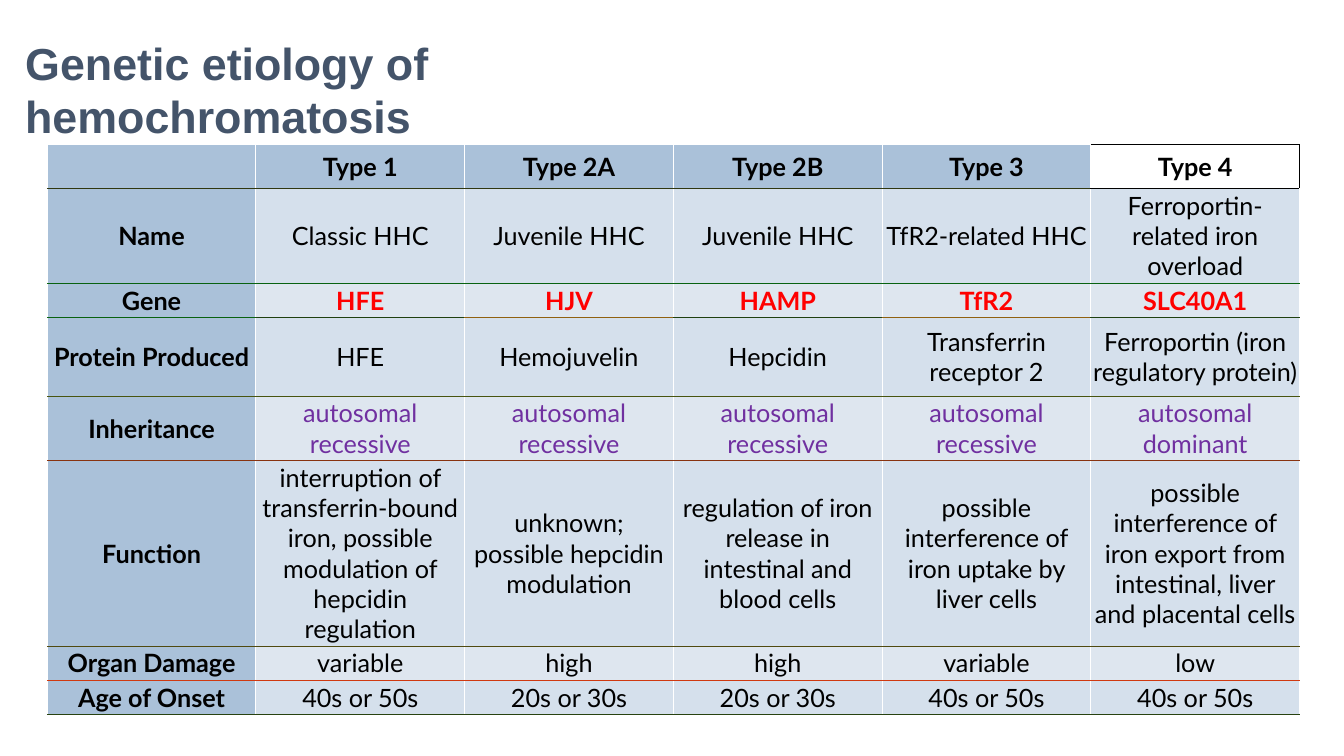
from lxml.etree import SubElement
from pptx import Presentation
from pptx.dml.color import RGBColor
from pptx.enum.text import MSO_ANCHOR as Anchor, MSO_AUTO_SIZE as AutoSize, PP_ALIGN as Align
from pptx.oxml.ns import qn
from pptx.util import Cm, Pt

LABEL_FILL = "AAC1D9"
BAND_FILLS = ["DEE6EF", "D5E0EC"]
BLACK, WHITE, RED, PURPLE = "000000", "FFFFFF", "FF0000", "7030A0"
COLUMN_WIDTH = 5.26
ROW_HEIGHTS = [1.1, 2.36, 0.84, 1.98, 1.6, 4.65, 0.85, 0.85]
ROW_LINES = ["303710", "086210", "204110", "485510", "883310", "504A10", "D03910", "284210"]
GENE_ROW, INHERITANCE_ROW = 2, 4
GENE_LINES = ["086210", "204110", "906110", "204110", "906110", "204110"]
ROWS = [
    ["", "Type 1", "Type 2A", "Type 2B", "Type 3", "Type 4"],
    ["Name", "Classic HHC", "Juvenile HHC", "Juvenile HHC", "TfR2-related HHC",
     "Ferroportin-related iron overload"],
    ["Gene", "HFE", "HJV", "HAMP", "TfR2", "SLC40A1"],
    ["Protein Produced", "HFE", "Hemojuvelin", "Hepcidin", "Transferrin receptor 2",
     "Ferroportin (iron regulatory protein)"],
    ["Inheritance"] + ["autosomal recessive"] * 4 + ["autosomal dominant"],
    ["Function",
     "interruption of transferrin-bound iron, possible modulation of hepcidin regulation",
     "unknown; possible hepcidin modulation",
     "regulation of iron release in intestinal and blood cells",
     "possible interference of iron uptake by liver cells",
     "possible interference of iron export from intestinal, liver and placental cells"],
    ["Organ Damage", "variable", "high", "high", "variable", "low"],
    ["Age of Onset", "40s or 50s", "20s or 30s", "20s or 30s", "40s or 50s", "40s or 50s"],
]
LAST_COLUMN = len(ROWS[0]) - 1


def color(hex_value):
    """Turn a hex string into a colour."""
    return RGBColor.from_string(hex_value)


def format_paragraph(paragraph, font_name, size, hex_value, bold, alignment):
    """Format the runs and the alignment of a paragraph."""
    paragraph.alignment = alignment
    for run in paragraph.runs:
        run.font.name = font_name
        run.font.size = Pt(size)
        run.font.bold = bold
        run.font.color.rgb = color(hex_value)


def add_title(slide, text):
    """Place the slide heading in the title placeholder."""
    title = slide.shapes.title
    title.left, title.top, title.width, title.height = Cm(0.38), Cm(0.76), Cm(20.68), Cm(1.63)
    frame = title.text_frame
    frame.text = text
    frame.word_wrap = True
    frame.auto_size = AutoSize.NONE
    frame.vertical_anchor = Anchor.TOP
    frame.margin_right = Cm(1)
    format_paragraph(frame.paragraphs[0], "Arial", 32, "44546A", True, Align.LEFT)


def add_border(cell, side, hex_value):
    """Draw one edge of a cell."""
    line = SubElement(cell._tc.get_or_add_tcPr(), qn(f"a:ln{side}"), w=str(Pt(0.75)))
    fill = SubElement(line, qn("a:solidFill"))
    SubElement(fill, qn("a:srgbClr"), val=hex_value)


def line_below(row, column):
    """Give the colour of the rule under a cell."""
    if row < 0:
        return BLACK if column == LAST_COLUMN else WHITE
    if row == 0 and column == LAST_COLUMN:
        return BLACK
    return GENE_LINES[column] if row == GENE_ROW else ROW_LINES[row]


def fill_cell(cell, row, column):
    """Colour a cell by its place in the table."""
    if row == 0 and column == LAST_COLUMN:
        cell.fill.background()
        return
    cell.fill.solid()
    is_label = row == 0 or column == 0
    cell.fill.fore_color.rgb = color(LABEL_FILL if is_label else BAND_FILLS[row % 2])


def format_cell(cell, row, column):
    """Write a cell and set its borders, fill and text format."""
    cell.text_frame.text = ROWS[row][column]
    cell.vertical_anchor = Anchor.MIDDLE
    cell.margin_left = cell.margin_right = cell.margin_top = cell.margin_bottom = Cm(0.05)
    is_type_4_header = row == 0 and column == LAST_COLUMN
    add_border(cell, "L", WHITE)
    add_border(cell, "R", BLACK if is_type_4_header else WHITE)
    add_border(cell, "T", line_below(row - 1, column))
    add_border(cell, "B", line_below(row, column))
    fill_cell(cell, row, column)
    is_label = row == 0 or column == 0
    text_color = BLACK if is_label else {GENE_ROW: RED, INHERITANCE_ROW: PURPLE}.get(row, BLACK)
    bold = is_label or row == GENE_ROW
    format_paragraph(cell.text_frame.paragraphs[0], "Lato", 18, text_color, bold, Align.CENTER)


def add_types_table(slide):
    """Add the table of hemochromatosis types."""
    frame = slide.shapes.add_table(len(ROWS), len(ROWS[0]), Cm(1.19), Cm(3.65),
                                   Cm(COLUMN_WIDTH * len(ROWS[0])), Cm(sum(ROW_HEIGHTS)))
    table = frame.table
    table.first_row = table.horz_banding = False
    for column in table.columns:
        column.width = Cm(COLUMN_WIDTH)
    for row, height in enumerate(ROW_HEIGHTS):
        table.rows[row].height = Cm(height)
        for column in range(len(ROWS[0])):
            format_cell(table.cell(row, column), row, column)


def main():
    """Build the slide and save it."""
    presentation = Presentation()
    presentation.slide_width, presentation.slide_height = Cm(33.87), Cm(19.05)
    slide = presentation.slides.add_slide(presentation.slide_layouts[5])
    add_title(slide, "Genetic etiology of hemochromatosis")
    add_types_table(slide)
    presentation.save("out.pptx")


if __name__ == "__main__":
    main()
